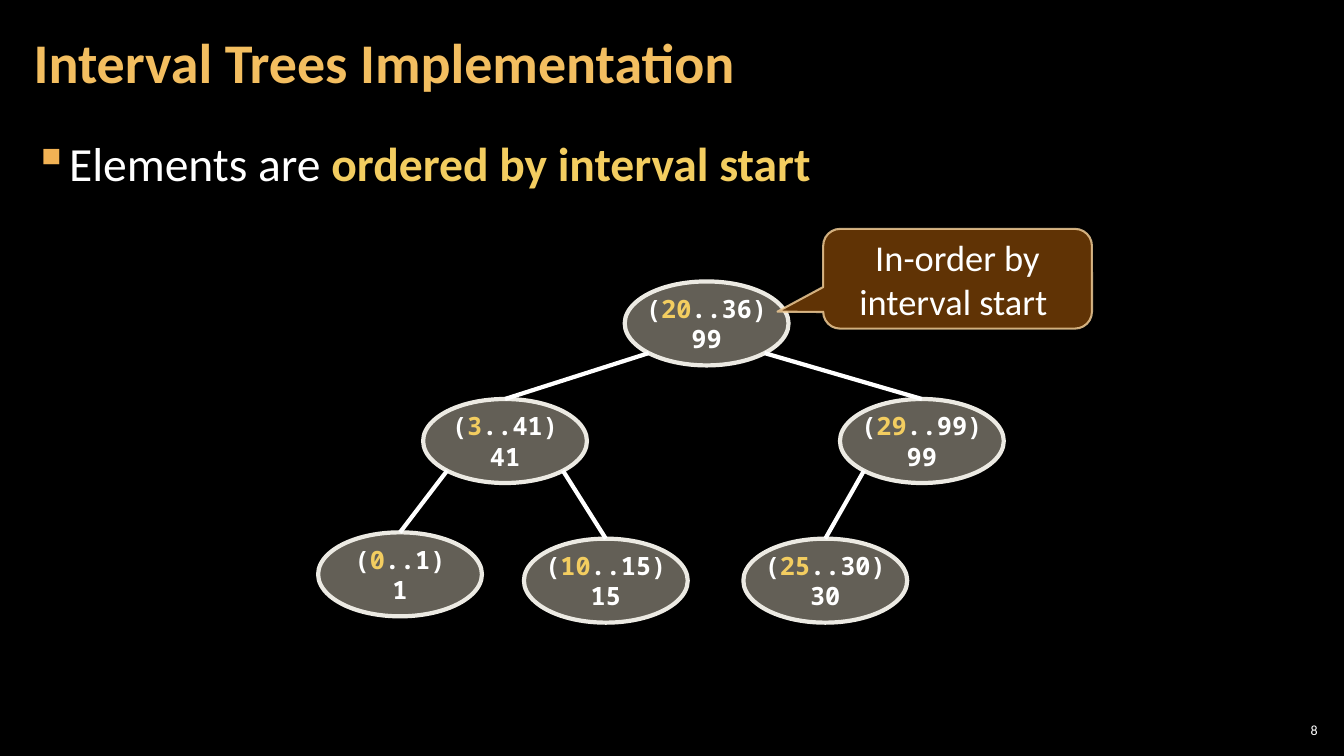
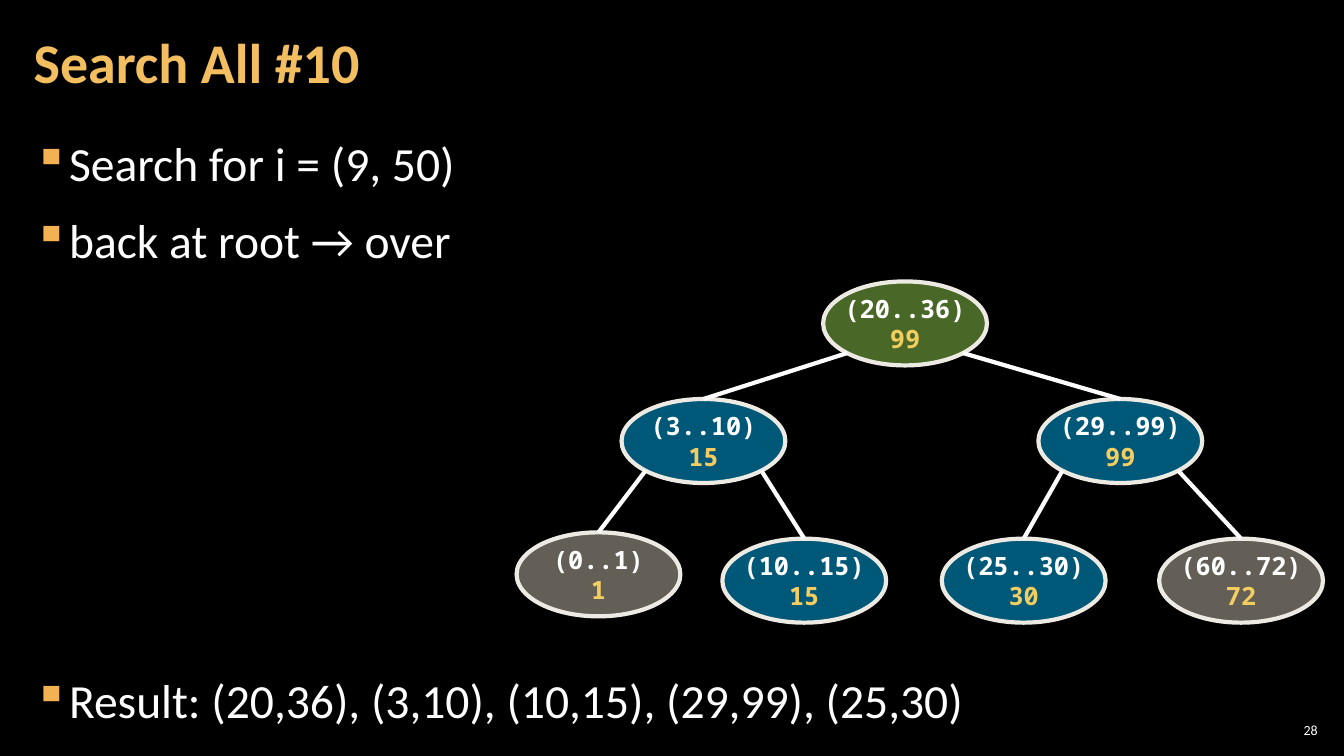
from dataclasses import dataclass

from lxml import etree
from pptx import Presentation
from pptx.dml.color import RGBColor
from pptx.enum.shapes import MSO_CONNECTOR, MSO_SHAPE
from pptx.enum.text import MSO_ANCHOR, PP_ALIGN
from pptx.oxml.ns import qn
from pptx.util import Emu, Pt

EMU_PER_PX = 9525
BLANK_LAYOUT = 6
ELLIPSE = MSO_SHAPE.OVAL
CALLOUT = MSO_SHAPE.ROUNDED_RECTANGULAR_CALLOUT
STRAIGHT = MSO_CONNECTOR.STRAIGHT
TOP, MIDDLE = MSO_ANCHOR.TOP, MSO_ANCHOR.MIDDLE
LEFT, CENTER, RIGHT = PP_ALIGN.LEFT, PP_ALIGN.CENTER, PP_ALIGN.RIGHT


@dataclass(frozen=True)
class Theme:
    background: str = "000000"
    text: str = "FFFFFF"
    title: str = "F3BE60"
    highlight: str = "F3CD60"
    bullet: str = "F2B254"
    node_line: str = "ECEAE3"
    neutral: str = "C7BFAC"
    current: str = "92D050"
    found: str = "00B0F0"
    callout: str = "663606"
    callout_line: str = "F8D49E"
    sans: str = "Calibri"
    mono: str = "Noto Sans Mono"
    title_size: int = 40
    body_size: int = 34
    callout_size: int = 26
    node_size: int = 18
    number_size: int = 10


THEME = Theme()


def text_style(size, color=THEME.text, name=THEME.sans, bold=False):
    return {"size": Pt(size), "name": name, "bold": bold, "color": color}


TITLE = text_style(THEME.title_size, THEME.title, bold=True)
BODY = text_style(THEME.body_size)
BODY_STRONG = text_style(THEME.body_size, THEME.highlight, bold=True)
CALLOUT_TEXT = text_style(THEME.callout_size)
NODE = text_style(THEME.node_size, name=THEME.mono, bold=True)
NODE_STRONG = {**NODE, "color": THEME.highlight}
NUMBER = text_style(THEME.number_size)

TITLE_BOX = (20, 4, 1005, 116)
BODY_BOX = (20, 121, 1239, 585)
NUMBER_BOX = (1214, 685, 45, 20)
CALLOUT_BOX = (784, 218, 256, 95)
BODY_PADDING = (12, 4)
NUMBER_PADDING = (4, 4)
BULLET_INDENT = 32
RESULT_GAP = 280

NODE_WIDTH, NODE_HEIGHT = 156, 80
# Each place in the tree: distance from the root's left edge, and top.
NODE_PLACES = {
    "root": (0, 268),
    "left": (-192, 380),
    "right": (205, 380),
    "left-left": (-292, 507),
    "left-right": (-96, 513),
    "right-left": (113, 513),
    "right-right": (320, 513),
}


def px(length):
    return Emu(round(length * EMU_PER_PX))


def rgb(color):
    return RGBColor.from_string(color)


def set_attributes(target, values):
    for name, value in values.items():
        setattr(target, name, value)


def set_opacity(fill_parent, percent):
    color = fill_parent.find(qn("a:solidFill")).find(qn("a:srgbClr"))
    etree.SubElement(color, qn("a:alpha"), val=str(percent * 1000))


def add_runs(paragraph, runs):
    for text, style in runs:
        run = paragraph.add_run()
        run.text = text
        for name, value in style.items():
            if name == "color":
                run.font.color.rgb = rgb(value)
            else:
                setattr(run.font, name, value)


def write_paragraphs(frame, paragraphs, **paragraph_format):
    """Fill the frame; each paragraph is a list of (text, style) runs."""
    for index, runs in enumerate(paragraphs):
        paragraph = frame.add_paragraph() if index else frame.paragraphs[0]
        set_attributes(paragraph, paragraph_format)
        add_runs(paragraph, runs)


def add_text(slide, box, paragraphs, padding, anchor, **paragraph_format):
    frame = slide.shapes.add_textbox(*map(px, box)).text_frame
    horizontal, vertical = map(px, padding)
    set_attributes(frame, {
        "word_wrap": True,
        "vertical_anchor": anchor,
        "margin_left": horizontal,
        "margin_right": horizontal,
        "margin_top": vertical,
        "margin_bottom": vertical,
    })
    write_paragraphs(frame, paragraphs, **paragraph_format)
    return frame


def add_bullet(paragraph):
    properties = paragraph._p.get_or_add_pPr()
    properties.set("marL", str(px(BULLET_INDENT)))
    properties.set("indent", str(-px(BULLET_INDENT)))
    color = etree.SubElement(properties, qn("a:buClr"))
    etree.SubElement(color, qn("a:srgbClr"), val=THEME.bullet)
    etree.SubElement(properties, qn("a:buChar"), char="▪")


def add_bullets(slide, paragraphs):
    frame = add_text(slide, BODY_BOX, paragraphs, BODY_PADDING, TOP,
                     alignment=LEFT, line_spacing=1.05,
                     space_before=Pt(6), space_after=Pt(6))
    for paragraph in frame.paragraphs:
        add_bullet(paragraph)
    return frame


def add_filled_shape(slide, kind, box, fill, opacity, line, line_width):
    shape = slide.shapes.add_shape(kind, *map(px, box))
    shape.shadow.inherit = False
    shape.fill.solid()
    shape.fill.fore_color.rgb = rgb(fill)
    set_opacity(shape._element.spPr, opacity)
    shape.line.color.rgb = rgb(line)
    shape.line.width = Pt(line_width)
    shape.text_frame.vertical_anchor = MIDDLE
    return shape


def add_node(slide, root_left, place, fill, label):
    offset, top = NODE_PLACES[place]
    box = (root_left + offset, top, NODE_WIDTH, NODE_HEIGHT)
    node = add_filled_shape(slide, ELLIPSE, box, fill, 50, THEME.node_line, 3)
    node.text_frame.word_wrap = False
    write_paragraphs(node.text_frame, label, alignment=CENTER)
    return node


def add_branch(slide, parent, child, side):
    """Join the child's top to the parent's lower diagonal point."""
    diagonal = 0.5 ** 0.5
    direction = -1 if side == "left" else 1
    end_x = parent.left + parent.width / 2 * (1 + direction * diagonal)
    end_y = parent.top + parent.height / 2 * (1 + diagonal)
    branch = slide.shapes.add_connector(
        STRAIGHT, child.left + child.width // 2, child.top,
        Emu(round(end_x)), Emu(round(end_y)))
    branch.begin_connect(child, 0)
    branch.line.color.rgb = rgb(THEME.text)
    branch.line.width = Pt(3)
    etree.SubElement(branch._element.spPr, qn("a:effectLst"))


def add_tree(slide, root_left, nodes):
    """Draw nodes given as place: (fill, label), then their branches."""
    shapes = {place: add_node(slide, root_left, place, fill, label)
              for place, (fill, label) in nodes.items()}
    for place, child in shapes.items():
        if place != "root":
            parent, _, side = place.rpartition("-")
            add_branch(slide, shapes[parent or "root"], child, side)


def add_callout(slide, text):
    callout = add_filled_shape(slide, CALLOUT, CALLOUT_BOX, THEME.callout, 95,
                               THEME.callout_line, 1.5)
    set_opacity(callout.line._get_or_add_ln(), 80)
    for index, value in enumerate((-0.67, 0.33, 0.17)):
        callout.adjustments[index] = value
    callout.text_frame.word_wrap = True
    write_paragraphs(callout.text_frame, [[(text, CALLOUT_TEXT)]],
                     alignment=CENTER)


def start_label(start, end, maximum):
    return [[("(", NODE), (start, NODE_STRONG), (f"..{end})", NODE)],
            [(maximum, NODE)]]


def maximum_label(start, end, maximum):
    return [[(f"({start}..{end})", NODE)], [(maximum, NODE_STRONG)]]


def add_base_slide(presentation, title, number):
    slide = presentation.slides.add_slide(
        presentation.slide_layouts[BLANK_LAYOUT])
    add_text(slide, NUMBER_BOX, [[(number, NUMBER)]], NUMBER_PADDING, MIDDLE,
             alignment=RIGHT)
    add_text(slide, TITLE_BOX, [[(title, TITLE)]], BODY_PADDING, MIDDLE,
             alignment=LEFT, line_spacing=0.9)
    return slide


def build_implementation(presentation):
    slide = add_base_slide(presentation, "Interval Trees Implementation", "8")
    add_bullets(slide, [[("Elements are ", BODY),
                         ("ordered by interval start", BODY_STRONG)]])
    intervals = {
        "root": ("20", "36", "99"),
        "right": ("29", "99", "99"),
        "left": ("3", "41", "41"),
        "left-left": ("0", "1", "1"),
        "left-right": ("10", "15", "15"),
        "right-left": ("25", "30", "30"),
    }
    add_tree(slide, 595, {place: (THEME.neutral, start_label(*interval))
                          for place, interval in intervals.items()})
    add_callout(slide, "In-order by interval start ")


def build_search(presentation):
    slide = add_base_slide(presentation, "Search All #10", "28")
    lines = ("Search for i = (9, 50)", "back at root → over",
             "Result: (20,36), (3,10), (10,15), (29,99), (25,30)")
    body = add_bullets(slide, [[(line, BODY)] for line in lines])
    body.paragraphs[-1].space_before = Pt(RESULT_GAP)
    intervals = {
        "root": (THEME.current, "20", "36", "99"),
        "right": (THEME.found, "29", "99", "99"),
        "left": (THEME.found, "3", "10", "15"),
        "left-left": (THEME.neutral, "0", "1", "1"),
        "left-right": (THEME.found, "10", "15", "15"),
        "right-left": (THEME.found, "25", "30", "30"),
        "right-right": (THEME.neutral, "60", "72", "72"),
    }
    add_tree(slide, 784, {place: (fill, maximum_label(*interval))
                          for place, (fill, *interval) in intervals.items()})


def main():
    presentation = Presentation()
    presentation.slide_width = px(1280)
    presentation.slide_height = px(720)
    background = presentation.slide_master.background.fill
    background.solid()
    background.fore_color.rgb = rgb(THEME.background)
    build_implementation(presentation)
    build_search(presentation)
    presentation.save("out.pptx")


if __name__ == "__main__":
    main()
